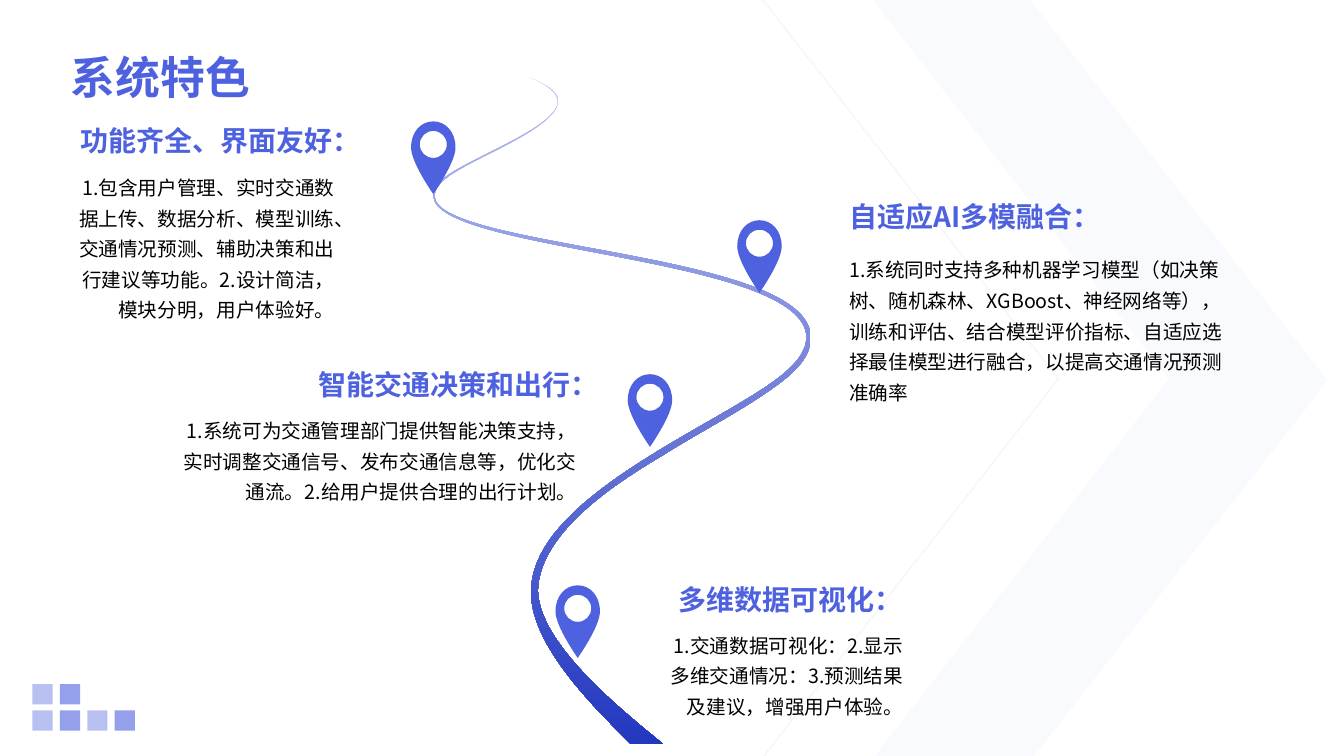
from dataclasses import dataclass

from lxml import etree
from pptx import Presentation
from pptx.dml.color import RGBColor
from pptx.enum.lang import MSO_LANGUAGE_ID
from pptx.enum.shapes import MSO_SHAPE
from pptx.enum.text import MSO_ANCHOR, PP_ALIGN
from pptx.oxml.ns import qn
from pptx.util import Cm, Pt

RECTANGLE = MSO_SHAPE.RECTANGLE
LEFT, RIGHT = PP_ALIGN.LEFT, PP_ALIGN.RIGHT
BOTTOM, TOP = MSO_ANCHOR.BOTTOM, MSO_ANCHOR.TOP
CHINESE = MSO_LANGUAGE_ID.SIMPLIFIED_CHINESE

FONT = "Noto Sans CJK JP"
COLORS = {"accent": "4E62DF", "text": "000000", "road_top": "B8C0F2", "road_end": "2338BF"}

Point = tuple[float, float]
Segment = tuple[Point, ...]  # an end point, or two handles and an end point


@dataclass
class Contour:
    start: Point
    segments: list[Segment]


@dataclass
class Box:
    left: float
    top: float
    width: float
    height: float


@dataclass
class Feature:
    heading: str
    body: str
    heading_box: Box
    body_box: Box
    align: PP_ALIGN
    pin: Point  # top centre of the map pin


FEATURES = [
    Feature("功能齐全、界面友好：",
            "1.包含用户管理、实时交通数据上传、数据分析、模型训练、交通情况预测、"
            "辅助决策和出行建议等功能。2.设计简洁，模块分明，用户体验好。",
            Box(1.35, 2.99, 8, 1.12), Box(1.49, 4.13, 7.19, 3.94), RIGHT, (10.92, 3.06)),
    Feature("自适应AI多模融合：",
            "1.系统同时支持多种机器学习模型（如决策树、随机森林、XGBoost、神经网络等），"
            "训练和评估、结合模型评价指标、自适应选择最佳模型进行融合，以提高交通情况预测准确率",
            Box(21.15, 4.9, 10, 1.12), Box(21.15, 6.21, 10, 3.71), LEFT, (19.14, 5.55)),
    Feature("智能交通决策和出行：",
            "1.系统可为交通管理部门提供智能决策支持，实时调整交通信号、发布交通信息等，"
            "优化交通流。2.给用户提供合理的出行计划。",
            Box(5.34, 9.14, 10, 1.12), Box(4.34, 10.26, 10.44, 2.31), RIGHT, (16.38, 9.43)),
    Feature("多维数据可视化：",
            "1.交通数据可视化：2.显示多维交通情况：3.预测结果及建议，增强用户体验。",
            Box(13, 14.55, 10, 1.12), Box(16.38, 15.67, 6.63, 2.44), RIGHT, (14.56, 14.75)),
]

ROAD = Contour((13.39, 14.78), [
    ((13.56, 12.45), (18.21, 10.67), (19.71, 9.45)),
    ((19.99, 9.22), (20.37, 8.86), (20.32, 8.41)),
    ((20.02, 6.43), (10.95, 6.35), (10.92, 4.93)),
    ((10.92, 4.78), (11, 4.67), (11.07, 4.6)),
    ((11.53, 4.06), (14.22, 3.2), (14.05, 2.49)),
    ((14, 2.29), (13.72, 2.11), (13.34, 1.95)),
    ((13.69, 2.08), (14.03, 2.29), (14.06, 2.49)),
    ((14.17, 3.1), (12.37, 3.81), (11.63, 4.24)),
    ((11.4, 4.37), (10.96, 4.62), (10.95, 4.93)),
    ((10.95, 6.25), (20.09, 6.32), (20.42, 8.38)),
    ((20.5, 8.89), (20.12, 9.27), (19.81, 9.53)),
    ((18.92, 10.24), (17.65, 10.87), (16.69, 11.48)),
    ((15.67, 12.09), (13.69, 13.31), (13.56, 14.78)),
    ((13.46, 16.18), (15.82, 18.01), (16.71, 18.75)),
    ((15.9, 18.75),),
    ((15.09, 17.93), (13.26, 16.21), (13.39, 14.78)),
])

# Map pin, measured from its top centre
PIN = [
    Contour((0, 0), [
        ((-0.3, 0), (-0.56, 0.25), (-0.56, 0.66)),
        ((-0.56, 1.04), (0, 1.83), (0, 1.83)),
        ((0, 1.83), (0.56, 1.04), (0.56, 0.66)),
        ((0.56, 0.25), (0.3, 0), (0, 0)),
    ]),
    Contour((0, 0.92), [
        ((-0.19, 0.92), (-0.34, 0.77), (-0.34, 0.58)),
        ((-0.34, 0.39), (-0.19, 0.24), (0, 0.24)),
        ((0.19, 0.24), (0.34, 0.39), (0.34, 0.58)),
        ((0.34, 0.77), (0.19, 0.92), (0, 0.92)),
    ]),
]

BAND = Contour((25.96, 0), [
    ((33.45, 9.58),), ((33.45, 9.6),), ((26.06, 19.05),),
    ((22.05, 19.05),), ((29.46, 9.55),), ((22, 0),),
])
CHEVRON = Contour((19.25, 19.05), [((26.67, 9.55),), ((19.23, 0),)])

# Column, row and opacity of each corner square
SQUARES = [(0, 0, 40), (0, 1, 40), (1, 0, 60), (1, 1, 60), (2, 1, 40), (3, 1, 60)]
SQUARE_SIZE, COLUMN_PITCH, ROW_PITCH = 0.51, 0.69, 0.66


def color(name: str) -> RGBColor:
    return RGBColor.from_string(COLORS[name])


def add_outline(page, contours: list[Contour], closed: bool = True, origin: Point = (0, 0)):
    """Draw a freeform through the end points, then bend the segments that have handles."""
    def place(point: Point) -> tuple[int, int]:
        return Cm(origin[0] + point[0]), Cm(origin[1] + point[1])

    builder = page.shapes.build_freeform(*place(contours[0].start))
    for index, contour in enumerate(contours):
        if index:
            builder.move_to(*place(contour.start))
        builder.add_line_segments([place(segment[-1]) for segment in contour.segments], close=closed)
    outline = builder.convert_to_shape()
    outline.shadow.inherit = False

    segments = [segment for contour in contours for segment in contour.segments]
    for line, segment in zip(list(outline._element.iter(qn("a:lnTo"))), segments):
        if len(segment) == 3:
            curve = etree.Element(qn("a:cubicBezTo"))
            for x, y in map(place, segment):
                handle = etree.SubElement(curve, qn("a:pt"))
                handle.set("x", str(x - outline.left))
                handle.set("y", str(y - outline.top))
            line.getparent().replace(line, curve)
    return outline


def set_opacity(fill_parent, percent: int) -> None:
    for node in fill_parent.iter(qn("a:srgbClr")):
        etree.SubElement(node, qn("a:alpha")).set("val", str(percent * 1000))


def paint(shape, opacity: int = 100) -> None:
    shape.fill.solid()
    shape.fill.fore_color.rgb = color("accent")
    shape.line.fill.background()
    if opacity < 100:
        set_opacity(shape.fill._xPr, opacity)


def add_text(page, text: str, box: Box, size: int, color_name: str, bold: bool = False,
             align: PP_ALIGN = LEFT, spacing: float = 1.0, anchor: MSO_ANCHOR = TOP):
    text_box = page.shapes.add_textbox(Cm(box.left), Cm(box.top), Cm(box.width), Cm(box.height))
    frame = text_box.text_frame
    frame.word_wrap = True
    frame.vertical_anchor = anchor
    para = frame.paragraphs[0]
    para.text = text
    para.alignment = align
    para.line_spacing = spacing
    span = para.runs[0]
    span.font.name = FONT
    span.font.size = Pt(size)
    span.font.bold = bold
    span.font.color.rgb = color(color_name)
    span.font.language_id = CHINESE
    etree.SubElement(span.font._element, qn("a:ea")).set("typeface", FONT)
    return frame


def add_background(page) -> None:
    chevron = add_outline(page, [CHEVRON], closed=False)
    chevron.fill.background()
    chevron.line.color.rgb = color("accent")
    chevron.line.width = Pt(1)
    set_opacity(chevron.line._ln, 5)
    paint(add_outline(page, [BAND]), 3)
    for column, row, opacity in SQUARES:
        square = page.shapes.add_shape(
            RECTANGLE, Cm(0.82 + column * COLUMN_PITCH), Cm(17.24 + row * ROW_PITCH),
            Cm(SQUARE_SIZE), Cm(SQUARE_SIZE))
        square.shadow.inherit = False
        paint(square, opacity)


def add_road(page) -> None:
    road = add_outline(page, [ROAD])
    road.line.fill.background()
    road.fill.gradient()
    road.fill.gradient_angle = 270
    for stop, name in zip(road.fill.gradient_stops, ("road_top", "road_end")):
        stop.color.rgb = color(name)


def main() -> None:
    deck = Presentation()
    deck.slide_width, deck.slide_height = Cm(33.87), Cm(19.05)
    page = deck.slides.add_slide(deck.slide_layouts[6])
    add_background(page)

    # Title
    title = add_text(page, "系统特色", Box(1.79, 0.61, 30, 2.01), 32, "accent", True, anchor=BOTTOM)
    title.margin_left = title.margin_right = title.margin_top = title.margin_bottom = 0

    # Road with its stops
    add_road(page)
    for feature in FEATURES:
        paint(add_outline(page, PIN, origin=feature.pin))
        add_text(page, feature.heading, feature.heading_box, 20, "accent", True, feature.align)
        add_text(page, feature.body, feature.body_box, 14, "text", False, feature.align, 1.3)
    deck.save("out.pptx")


if __name__ == "__main__":
    main()
